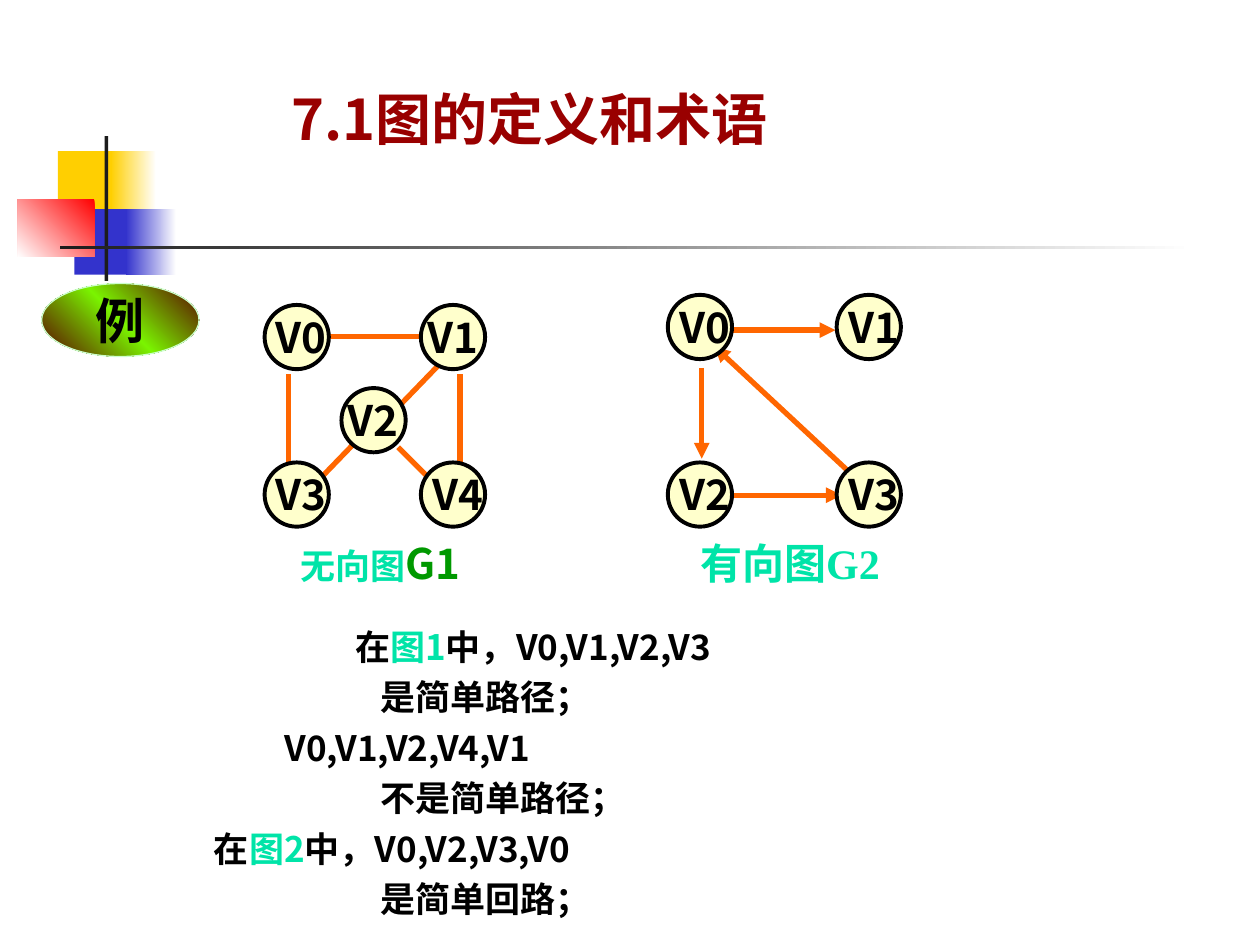
import lxml.etree
import pptx
import pptx.dml.color
import pptx.enum.shapes
import pptx.enum.text
import pptx.oxml
import pptx.oxml.ns
import pptx.util

Inches = pptx.util.Inches
Pt = pptx.util.Pt
ANCHOR = pptx.enum.text.MSO_ANCHOR
ALIGN = pptx.enum.text.PP_ALIGN
SHAPE = pptx.enum.shapes.MSO_SHAPE
DRAWING_NS = "http://schemas.openxmlformats.org/drawingml/2006/main"

SANS = "Noto Sans CJK SC"
SERIF = "Times New Roman"
COLORS = {
    "black": "000000", "white": "FFFFFF", "title": "990000", "teal": "00E4A8",
    "green": "009900", "edge": "FF6600", "node": "FFFFCC", "gold": "FFCF01",
    "blue": "3333CC", "red": "FF0000", "dark": "1C1C1C", "brown": "5A0000",
    "lime": "7AF400", "mint": "CCFFCC",
}

# Position and fill: one colour, or gradient colours with an angle
DECORATIONS = [
    ((0.46, 1.2, 0.48, 0.52), ["gold"], 0),
    ((0.88, 1.2, 0.36, 0.52), ["white", "gold"], 180),
    ((0.59, 1.66, 0.46, 0.52), ["blue"], 0),
    ((1, 1.66, 0.4, 0.52), ["white", "blue"], 180),
    ((0.14, 1.58, 0.61, 0.46), ["red", "white"], 135),
    ((0.83, 1.08, 0.03, 1.15), ["dark"], 0),
    ((0.48, 1.95, 9, 0.03), ["white", "dark"], 180),
]

# Nodes: name, left, top, shift of the label from the circle
UNDIRECTED_GRAPH = {
    "directed": False,
    "edges": [
        ((2.29, 2.97), (2.29, 3.69)), ((2.59, 2.67), (3.41, 2.67)),
        ((3.65, 2.97), (3.65, 3.69)), ((2.82, 3.51), (2.53, 3.81)),
        ((3.47, 2.91), (3.18, 3.21)), ((3.16, 3.55), (3.41, 3.8)),
    ],
    "nodes": [
        ("V0", 2.1, 2.42, -0.05), ("V4", 3.34, 3.67, -0.05), ("V3", 2.1, 3.67, -0.05),
        ("V1", 3.34, 2.42, -0.09), ("V2", 2.71, 3.08, -0.09),
    ],
}
DIRECTED_GRAPH = {
    "directed": True,
    "edges": [
        ((5.57, 2.92), (5.57, 3.64)), ((5.81, 3.93), (6.68, 3.93)),
        ((5.81, 2.62), (6.63, 2.62)), ((6.83, 3.83), (5.67, 2.75)),
    ],
    "nodes": [
        ("V0", 5.3, 2.34, -0.05), ("V1", 6.64, 2.34, -0.05),
        ("V2", 5.3, 3.67, -0.05), ("V3", 6.64, 3.67, -0.05),
    ],
}

# Runs: text, size, colour, font
CAPTIONS = [
    ((2.24, 4.22, 1.56, 0.5), [("无向图", 20, "teal", SANS), ("G1", 24, "green", SANS)]),
    ((5.24, 4.22, 2.06, 0.5), [("有向图G2", 24, "teal", SERIF)]),
]

# Left indent, then runs of text and colour
EXPLANATION = [
    (1.5, [("在", "black"), ("图1", "teal"), ("中，V0,V1,V2,V3", "black")]),
    (1.7, [("是简单路径；", "black")]),
    (0.94, [("V0,V1,V2,V4,V1", "black")]),
    (1.7, [("不是简单路径；", "black")]),
    (0.38, [("在", "black"), ("图2", "teal"), ("中，V0,V2,V3,V0", "black")]),
    (1.7, [("是简单回路；", "black")]),
]


def rgb(name):
    return pptx.dml.color.RGBColor.from_string(COLORS[name])


def add_run(paragraph, text, size, color, font=SANS):
    run = paragraph.add_run()
    run.text = text
    run.font.size = Pt(size)
    run.font.bold = True
    run.font.name = font
    run.font.color.rgb = rgb(color)
    east_asian = lxml.etree.SubElement(run.font._element, pptx.oxml.ns.qn("a:ea"))
    east_asian.set("typeface", SANS)


def fill_shape(shape, colors, angle):
    """Give a solid fill for one colour, an evenly spaced gradient for more."""
    if len(colors) == 1:
        shape.fill.solid()
        shape.fill.fore_color.rgb = rgb(colors[0])
        return
    step = 100000 // (len(colors) - 1)
    stops = "".join(
        f'<a:gs pos="{index * step}"><a:srgbClr val="{COLORS[color]}"/></a:gs>'
        for index, color in enumerate(colors))
    gradient = pptx.oxml.parse_xml(
        f'<a:gradFill xmlns:a="{DRAWING_NS}" rotWithShape="1"><a:gsLst>{stops}</a:gsLst>'
        f'<a:lin ang="{angle * 60000}" scaled="0"/></a:gradFill>')
    shape.fill.background()
    properties = shape._element.spPr
    properties.replace(properties.find(pptx.oxml.ns.qn("a:noFill")), gradient)


def add_filled_shape(shapes, kind, box, colors, angle=0, line=None, line_width=0):
    shape = shapes.add_shape(kind, *map(Inches, box))
    shape.shadow.inherit = False
    fill_shape(shape, colors, angle)
    if line:
        shape.line.color.rgb = rgb(line)
        shape.line.width = Pt(line_width)
    else:
        shape.line.fill.background()
    return shape


def add_text_box(shapes, box):
    frame = shapes.add_textbox(*map(Inches, box)).text_frame
    frame.word_wrap = True
    return frame


def add_edge(shapes, start, end, directed):
    edge = shapes.add_connector(
        pptx.enum.shapes.MSO_CONNECTOR.STRAIGHT, *map(Inches, start + end))
    edge.line.color.rgb = rgb("edge")
    edge.line.width = Pt(3)
    if directed:
        line = edge.line._get_or_add_ln()
        lxml.etree.SubElement(line, pptx.oxml.ns.qn("a:tailEnd")).set("type", "triangle")
    lxml.etree.SubElement(edge._element.spPr, pptx.oxml.ns.qn("a:effectLst"))


def add_graph(slide, graph):
    shapes = slide.shapes.add_group_shape().shapes
    for start, end in graph["edges"]:
        add_edge(shapes, start, end, graph["directed"])
    for name, left, top, shift in graph["nodes"]:
        add_filled_shape(shapes, SHAPE.OVAL, (left, top, 0.51, 0.51), ["node"],
                         line="black", line_width=2.25)
        label = add_text_box(shapes, (left + shift, top, 0.71, 0.5))
        label.margin_left = Inches(0.14)
        add_run(label.paragraphs[0], name, 24, "black")


def add_title(slide):
    title = slide.shapes.title
    title.left, title.top, title.width, title.height = map(Inches, (2.21, 0.62, 4.09, 0.64))
    frame = title.text_frame
    frame.word_wrap = False
    frame.auto_size = pptx.enum.text.MSO_AUTO_SIZE.NONE
    frame.vertical_anchor = ANCHOR.MIDDLE
    frame.paragraphs[0].alignment = ALIGN.LEFT
    add_run(frame.paragraphs[0], "7.1图的定义和术语", 32, "title")


def add_explanation(slide):
    frame = add_text_box(slide.shapes, (1.22, 4.51, 7.67, 2.84))
    frame.vertical_anchor = ANCHOR.BOTTOM
    for index, (indent, runs) in enumerate(EXPLANATION):
        paragraph = frame.add_paragraph() if index else frame.paragraphs[0]
        paragraph._p.get_or_add_pPr().set("marL", str(Inches(indent)))
        paragraph.line_spacing = Pt(26.4)
        paragraph.space_before = Pt(2.5 if index else 0)
        for text, color in runs:
            add_run(paragraph, text, 20, color)


def main():
    presentation = pptx.Presentation()
    presentation.slide_width, presentation.slide_height = Inches(10), Inches(7.5)
    slide = presentation.slides.add_slide(presentation.slide_layouts[5])
    for box, colors, angle in DECORATIONS:
        add_filled_shape(slide.shapes, SHAPE.RECTANGLE, box, colors, angle)
    add_title(slide)
    add_explanation(slide)
    for box, runs in CAPTIONS:
        paragraph = add_text_box(slide.shapes, box).paragraphs[0]
        paragraph.alignment = ALIGN.CENTER
        for run in runs:
            add_run(paragraph, *run)
    for graph in (UNDIRECTED_GRAPH, DIRECTED_GRAPH):
        add_graph(slide, graph)
    badge = add_filled_shape(slide.shapes, SHAPE.OVAL, (0.33, 2.25, 1.25, 0.58),
                             ["brown", "lime", "brown"], 135, "mint", 0.75)
    badge.text_frame.word_wrap = False
    badge.text_frame.vertical_anchor = ANCHOR.MIDDLE
    badge.text_frame.paragraphs[0].alignment = ALIGN.CENTER
    add_run(badge.text_frame.paragraphs[0], "例", 28, "black", SERIF)
    presentation.save("out.pptx")


if __name__ == "__main__":
    main()
